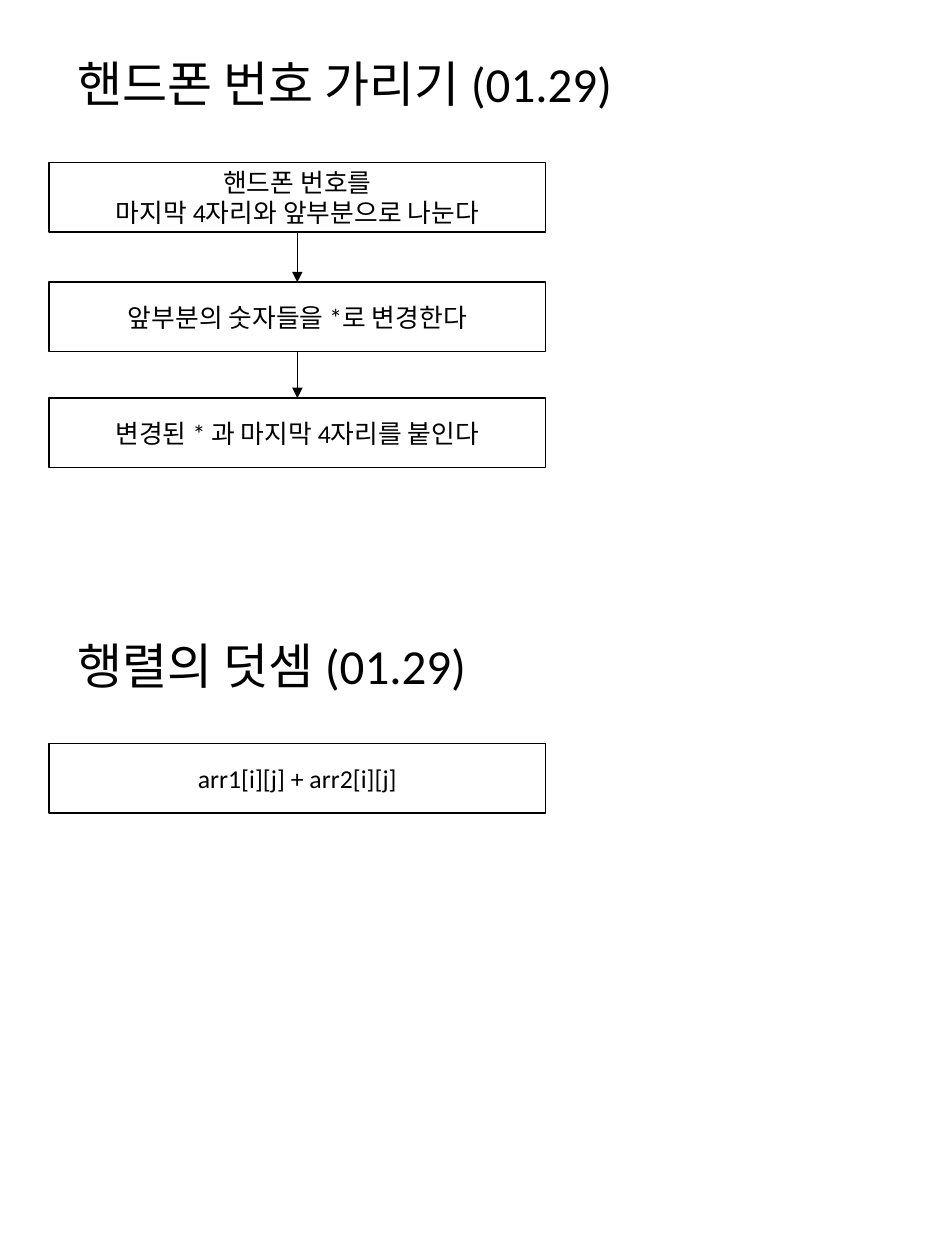
"""Build a portrait slide with two coding exercises and their solution steps."""
from lxml import etree
from pptx import Presentation
from pptx.dml.color import RGBColor
from pptx.enum import shapes, text
from pptx.oxml import ns
from pptx.util import Inches, Pt

COLORS = {"ink": "000000"}
INK = RGBColor.from_string(COLORS["ink"])
BOX_LEFT, BOX_W, BOX_H = 0.39, 3.94, 0.55

titles = [(0.38, "핸드폰 번호 가리기 (01.29)"), (5, "행렬의 덧셈 (01.29)")]
steps = [
    (1.29, ["핸드폰 번호를", "마지막 4자리와 앞부분으로 나눈다"]),
    (2.24, ["앞부분의 숫자들을 *로 변경한다"]),
    (3.16, ["변경된 * 과 마지막 4자리를 붙인다"]),
]
formula = (5.9, ["arr1[i][j] + arr2[i][j]"])


def write(s, lines, size, align, spacing):
    tf = s.text_frame
    tf.word_wrap = True
    tf.vertical_anchor = text.MSO_ANCHOR.MIDDLE
    for i, line in enumerate(lines):
        p = tf.add_paragraph() if i else tf.paragraphs[0]
        p.alignment = align
        p.line_spacing = spacing
        r = p.add_run()
        r.text = line
        r.font.name = "Calibri"
        r.font.size = Pt(size)
        r.font.color.rgb = INK


prs = Presentation()
prs.slide_width, prs.slide_height = Inches(7.5), Inches(10)
slide = prs.slides.add_slide(prs.slide_layouts[6])

for top, title in titles:
    s = slide.shapes.add_textbox(Inches(0.52), Inches(top), Inches(6.47), Inches(0.61))
    write(s, [title], 28, text.PP_ALIGN.LEFT, 0.9)

for top, lines in steps + [formula]:
    s = slide.shapes.add_shape(shapes.MSO_SHAPE.RECTANGLE, Inches(BOX_LEFT),
                               Inches(top), Inches(BOX_W), Inches(BOX_H))
    s.shadow.inherit = False
    s.fill.background()
    s.line.color.rgb = INK
    s.line.width = Pt(1)
    write(s, lines, 14.7, text.PP_ALIGN.CENTER, 1.0)

center = Inches(BOX_LEFT + BOX_W / 2)
for (top, _), (next_top, _) in zip(steps, steps[1:]):
    s = slide.shapes.add_connector(shapes.MSO_CONNECTOR.STRAIGHT, center,
                                   Inches(top + BOX_H), center, Inches(next_top))
    s.line.color.rgb = INK
    s.line.width = Pt(0.5)
    etree.SubElement(s.line._get_or_add_ln(), ns.qn("a:tailEnd"), type="triangle")
    etree.SubElement(s._element.spPr, ns.qn("a:effectLst"))

prs.save("out.pptx")
